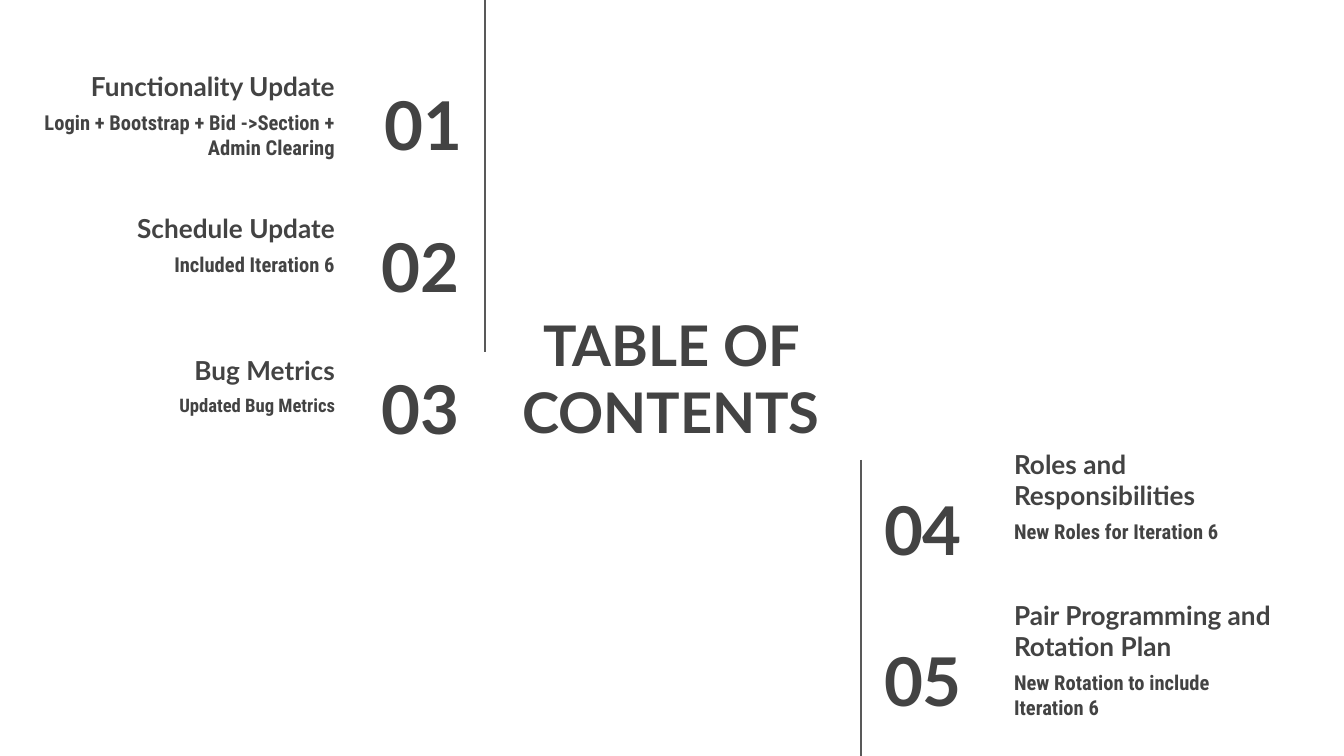
"""Build the table of contents slide with five numbered sections."""
from lxml import etree
from pptx import Presentation
from pptx.dml.color import RGBColor
from pptx.enum.shapes import MSO_CONNECTOR
from pptx.enum.text import MSO_ANCHOR, MSO_AUTO_SIZE, PP_ALIGN
from pptx.oxml.ns import qn
from pptx.util import Inches, Pt

LEFT, CENTER, RIGHT = PP_ALIGN.LEFT, PP_ALIGN.CENTER, PP_ALIGN.RIGHT
TOP, MIDDLE, BOTTOM = MSO_ANCHOR.TOP, MSO_ANCHOR.MIDDLE, MSO_ANCHOR.BOTTOM
STRAIGHT = MSO_CONNECTOR.STRAIGHT
SCALE = Inches(10) / 1344

THEME = {
    "ink": RGBColor.from_string("434343"),
    "rule": RGBColor.from_string("595959"),
    "rule_width": Pt(0.75),
    "title": {"name": "Lato", "size": Pt(30), "bold": True},
    "number": {"name": "Lato", "size": Pt(36), "bold": True},
    "heading": {"name": "Lato", "size": Pt(14), "bold": True},
    "detail": {"name": "Roboto Condensed", "size": Pt(11), "bold": True},
    "small_detail": {"name": "Roboto Condensed", "size": Pt(10), "bold": True},
}
INSET = 13
FRAME = {
    "word_wrap": True,
    "auto_size": MSO_AUTO_SIZE.NONE,
    "margin_left": round(INSET * SCALE),
    "margin_right": round(INSET * SCALE),
    "margin_top": round(INSET * SCALE),
    "margin_bottom": round(INSET * SCALE),
}


def px(*lengths):
    return [round(length * SCALE) for length in lengths]


def write(holder, text, style, align, anchor):
    frame = holder.text_frame
    for key, value in {**FRAME, "vertical_anchor": anchor}.items():
        setattr(frame, key, value)
    paragraph = frame.paragraphs[0]
    paragraph.alignment = align
    run = paragraph.add_run()
    run.text = text
    for key, value in THEME[style].items():
        setattr(run.font, key, value)
    run.font.color.rgb = THEME["ink"]


deck = Presentation()
deck.slide_width, deck.slide_height = px(1344, 756)
slide = deck.slides.add_slide(deck.slide_layouts[5])

title = slide.shapes.title
title.left, title.top, title.width, title.height = px(497, 309, 348, 138)
write(title, "TABLE OF CONTENTS", "title", CENTER, MIDDLE)

ROW_HEIGHT, HEADING_WIDTH, DETAIL_DROP = 85, 290, 67
columns = [
    {
        "align": RIGHT, "top": 30, "pitch": 142, "heading_left": 58,
        "number_width": 163, "number_drop": 51,
        "sections": [
            ("01", 312, "Functionality Update",
             "Login + Bootstrap + Bid ->Section + Admin Clearing", "detail", 19, 329),
            ("02", 309, "Schedule Update", "Included Iteration 6", "detail", 102, 246),
            ("03", 309, "Bug Metrics", "Updated Bug Metrics", "small_detail", 102, 246),
        ],
    },
    {
        "align": LEFT, "top": 439, "pitch": 151, "heading_left": 1001,
        "number_width": 157, "number_drop": 47,
        "sections": [
            ("04", 871, "Roles and Responsibilities",
             "New Roles for Iteration 6", "detail", 1001, 246),
            ("05", 871, "Pair Programming and Rotation Plan",
             "New Rotation to include Iteration 6", "detail", 1001, 246),
        ],
    },
]

for column in columns:
    for row, section in enumerate(column["sections"]):
        number, number_left, heading, detail, detail_style, detail_left, detail_width = section
        top = column["top"] + row * column["pitch"]
        for text, style, anchor, left, drop, width in (
            (heading, "heading", BOTTOM, column["heading_left"], 0, HEADING_WIDTH),
            (detail, detail_style, TOP, detail_left, DETAIL_DROP, detail_width),
            (number, "number", MIDDLE, number_left, column["number_drop"], column["number_width"]),
        ):
            holder = slide.shapes.add_textbox(*px(left, top + drop, width, ROW_HEIGHT))
            write(holder, text, style, column["align"], anchor)

for x, start, end in ((485, 0, 352), (861, 460, 756)):
    divider = slide.shapes.add_connector(STRAIGHT, *px(x, start, x, end))
    divider.line.color.rgb = THEME["rule"]
    divider.line.width = THEME["rule_width"]
    etree.SubElement(divider.element.spPr, qn("a:effectLst"))

deck.save("out.pptx")
